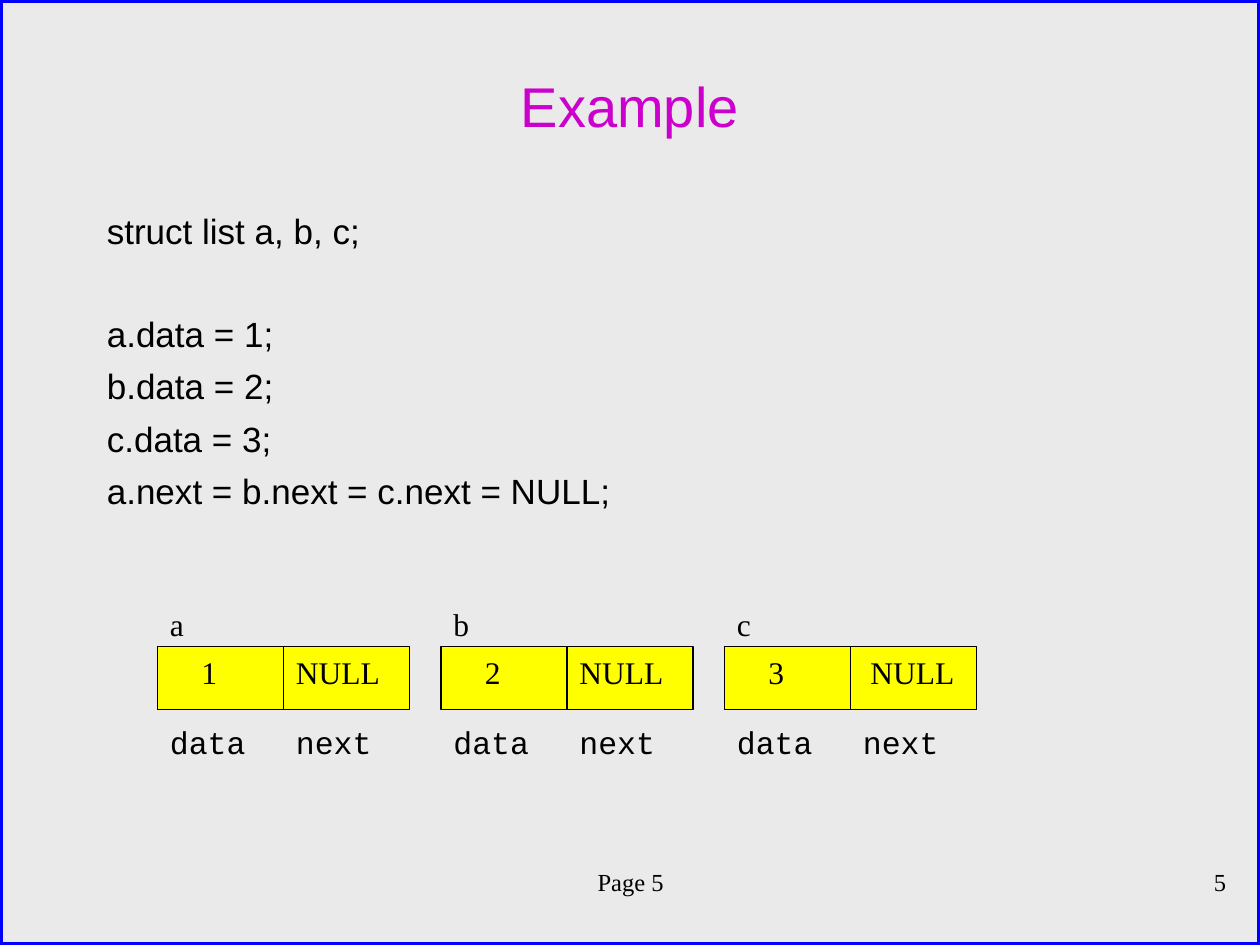
from dataclasses import dataclass

from lxml import etree
from pptx import Presentation
from pptx.dml.color import RGBColor
from pptx.enum.shapes import MSO_CONNECTOR, MSO_SHAPE
from pptx.enum.text import MSO_ANCHOR, PP_ALIGN
from pptx.oxml.ns import qn
from pptx.util import Inches, Pt

LEFT, CENTER, RIGHT = PP_ALIGN.LEFT, PP_ALIGN.CENTER, PP_ALIGN.RIGHT
TOP, MIDDLE = MSO_ANCHOR.TOP, MSO_ANCHOR.MIDDLE
RECT, STRAIGHT = MSO_SHAPE.RECTANGLE, MSO_CONNECTOR.STRAIGHT


@dataclass(frozen=True)
class Theme:
    """Colours, fonts and type sizes of the slide."""
    paper: str = "EAEAEA"
    border: str = "0000FF"
    accent: str = "CC00CC"
    cell: str = "FFFF00"
    ink: str = "000000"
    sans: str = "Arial"
    serif: str = "Times New Roman"
    mono: str = "Courier New"
    head: int = 32
    body: int = 20
    label: int = 18
    foot: int = 14


THEME = Theme()
CODE = [
    ("struct list a, b, c;", 0),
    ("a.data = 1;", 35),
    ("b.data = 2;", 6),
    ("c.data = 3;", 6),
    ("a.next = b.next = c.next = NULL;", 6),
]
NODES = [("a", "1", 1), ("b", "2", 1), ("c", "3", 1.06)]
START, STEP, HALF = 1.25, 2.25, 1
ROW, HIGH = 5.13, 0.5


def style(item, values):
    """Set each named attribute of an item."""
    for name, value in values.items():
        setattr(item, name, value)


def add_text(slide, box, lines, size, face, color=THEME.ink, align=LEFT, anchor=TOP):
    """Add a text box holding (words, space before) lines."""
    frame = slide.shapes.add_textbox(*map(Inches, box)).text_frame
    style(frame, {"word_wrap": True, "vertical_anchor": anchor})
    for index, (words, space) in enumerate(lines):
        para = frame.add_paragraph() if index else frame.paragraphs[0]
        para.text = words
        style(para, {"alignment": align, "space_before": Pt(space)})
        style(para.font, {"size": Pt(size), "name": face})
        para.font.color.rgb = RGBColor.from_string(color)


def add_rect(slide, box, fill, line, width):
    """Add a filled and outlined rectangle."""
    shape = slide.shapes.add_shape(RECT, *map(Inches, box))
    shape.shadow.inherit = False
    shape.fill.solid()
    shape.fill.fore_color.rgb = RGBColor.from_string(fill)
    shape.line.color.rgb = RGBColor.from_string(line)
    shape.line.width = Pt(width)


def add_line(slide, start, end):
    """Add a thin straight line between two points."""
    line = slide.shapes.add_connector(STRAIGHT, *map(Inches, start + end))
    line.line.color.rgb = RGBColor.from_string(THEME.ink)
    line.line.width = Pt(0.75)
    etree.SubElement(line._element.spPr, qn("a:effectLst"))


def add_node(slide, left, name, value, shift):
    """Add one list node with its name, two cells and field labels."""
    mid = left + HALF
    add_rect(slide, (left, ROW, 2 * HALF, HIGH), THEME.cell, THEME.ink, 0.75)
    add_line(slide, (mid, ROW), (mid, ROW + HIGH))
    labels = [
        (left, 4.75, 0.5, name, THEME.serif),
        (left + 0.25, ROW, 0.5, value, THEME.serif),
        (left + shift, ROW, 1.25, "NULL", THEME.serif),
        (left, 5.69, 1.13, "data", THEME.mono),
        (mid, 5.69, 1.13, "next", THEME.mono),
    ]
    for x, y, wide, words, face in labels:
        add_text(slide, (x, y, wide, 0.38), [(words, 0)], THEME.label, face)


def main():
    """Build and save the slide."""
    deck = Presentation()
    style(deck, {"slide_width": Inches(10), "slide_height": Inches(7.5)})
    slide = deck.slides.add_slide(deck.slide_layouts[6])
    slide.background.fill.solid()
    slide.background.fill.fore_color.rgb = RGBColor.from_string(THEME.paper)
    add_rect(slide, (0, 0, 10, 7.5), THEME.paper, THEME.border, 3)
    for box, words, align in [
        ((0.67, 6.83, 8.67, 0.5), "Page 5", CENTER),
        ((7.75, 6.83, 2.08, 0.5), "5", RIGHT),
    ]:
        add_text(slide, box, [(words, 0)], THEME.foot, THEME.serif, align=align)
    add_text(slide, (0.75, 0.42, 8.5, 0.83), [("Example", 0)], THEME.head,
             THEME.sans, THEME.accent, CENTER, MIDDLE)
    add_text(slide, (0.75, 1.61, 8.5, 5.39), CODE, THEME.body, THEME.sans)
    for index, node in enumerate(NODES):
        add_node(slide, START + index * STEP, *node)
    deck.save("out.pptx")


if __name__ == "__main__":
    main()
